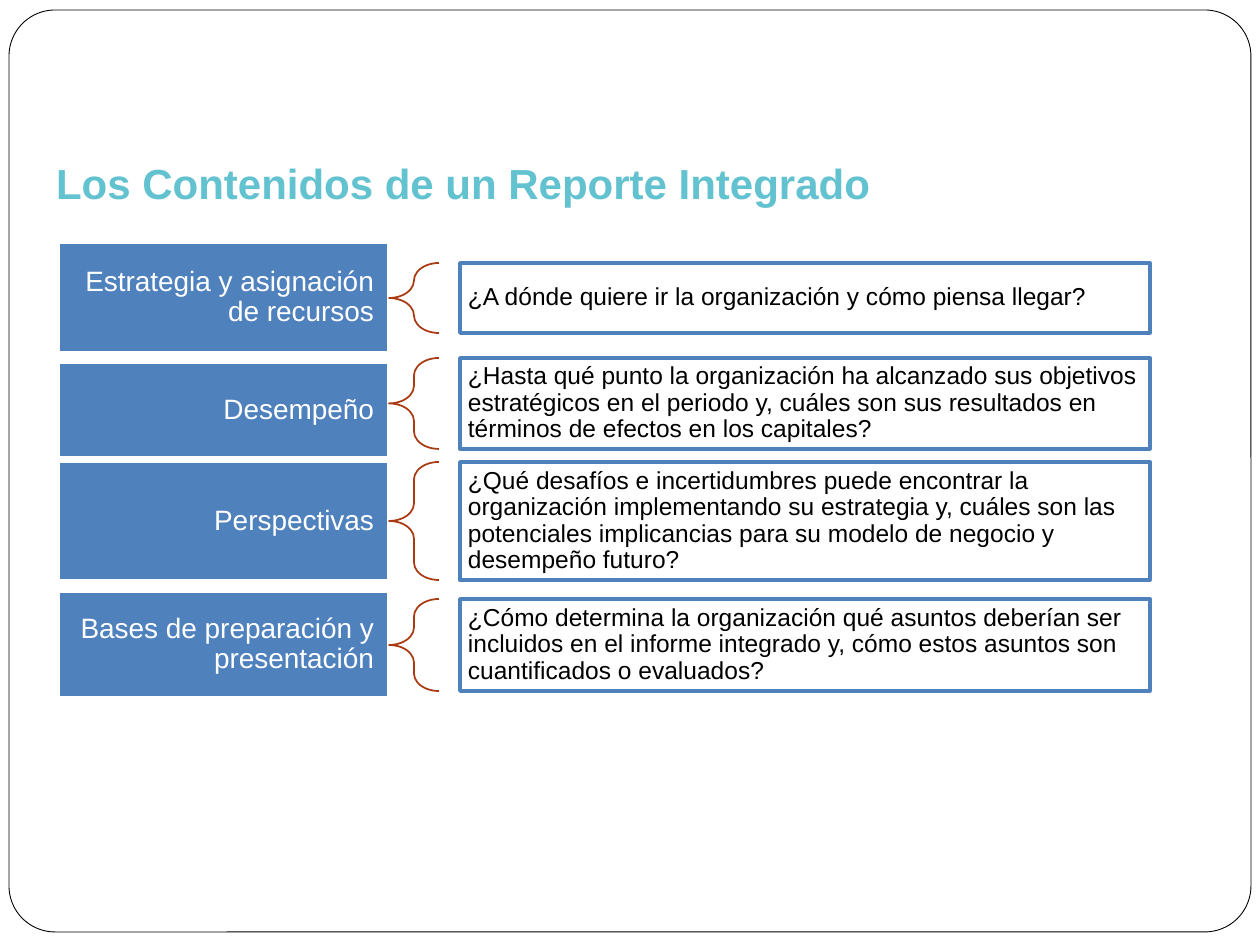
from dataclasses import dataclass

from lxml.etree import SubElement
from pptx import Presentation
from pptx.dml.color import RGBColor
from pptx.enum.shapes import MSO_SHAPE
from pptx.enum.text import MSO_ANCHOR, PP_ALIGN
from pptx.oxml.ns import qn
from pptx.util import Emu, Pt

COLORS = {
    "white": "FFFFFF",
    "black": "000000",
    "title": "63C2D0",
    "blue": "4F81BD",
    "brace": "A93A12",
}
FONT = "Arial"
LABEL_X, LABEL_W = 58, 331
BRACE_X, BRACE_W = 389, 50
QUESTION_X, QUESTION_W = 460, 690


@dataclass
class Content:
    label: str
    label_y: int
    label_h: int
    question: str
    question_y: int
    question_h: int


CONTENTS = [
    Content("Estrategia y asignación de recursos", 242, 111,
            "¿A dónde quiere ir la organización y cómo piensa llegar?", 263, 70),
    Content("Desempeño", 362, 96,
            "¿Hasta qué punto la organización ha alcanzado sus objetivos "
            "estratégicos en el periodo y, cuáles son sus resultados en "
            "términos de efectos en los capitales?", 358, 91),
    Content("Perspectivas", 461, 120,
            "¿Qué desafíos e incertidumbres puede encontrar la organización "
            "implementando su estrategia y, cuáles son las potenciales "
            "implicancias para su modelo de negocio y desempeño futuro?", 462, 118),
    Content("Bases de preparación y presentación", 591, 107,
            "¿Cómo determina la organización qué asuntos deberían ser incluidos "
            "en el informe integrado y, cómo estos asuntos son cuantificados o "
            "evaluados?", 599, 92),
]


def px(n: int) -> Emu:
    return Emu(round(n * 914400 / 126))


def rgb(name: str) -> RGBColor:
    return RGBColor.from_string(COLORS[name])


def add_shape(s, kind, box: tuple, fill: str | None, line: str, width: float):
    sp = s.shapes.add_shape(kind, *(px(n) for n in box))
    sp.shadow.inherit = False
    if fill:
        sp.fill.solid()
        sp.fill.fore_color.rgb = rgb(fill)
    else:
        sp.fill.background()
    sp.line.color.rgb = rgb(line)
    sp.line.width = Pt(width)
    return sp


def set_text(sp, text: str, size: int, color: str, anchor, align,
             margins: tuple, spacing: float = 1.0, bold: bool = False) -> None:
    tf = sp.text_frame
    tf.word_wrap = True
    tf.vertical_anchor = anchor
    tf.margin_left = tf.margin_right = px(margins[0])
    tf.margin_top = tf.margin_bottom = px(margins[1])
    p = tf.paragraphs[0]
    p.alignment = align
    p.line_spacing = spacing
    r = p.add_run()
    r.text = text
    r.font.name = FONT
    r.font.size = Pt(size)
    r.font.bold = bold
    r.font.color.rgb = rgb(color)


def add_content(s, c: Content) -> None:
    # Topic label
    sp = add_shape(s, MSO_SHAPE.RECTANGLE, (LABEL_X, c.label_y, LABEL_W, c.label_h),
                   "blue", "white", 2)
    set_text(sp, c.label, 16, "white", MSO_ANCHOR.MIDDLE, PP_ALIGN.RIGHT, (15, 5), 0.9)

    # Brace
    sp = add_shape(s, MSO_SHAPE.LEFT_BRACE, (BRACE_X, c.question_y, BRACE_W, c.question_h),
                   None, "brace", 1)
    sp.adjustments[0] = 0.35

    # Question, on a slightly transparent fill
    sp = add_shape(s, MSO_SHAPE.RECTANGLE,
                   (QUESTION_X, c.question_y, QUESTION_W, c.question_h),
                   "white", "blue", 2)
    color = sp.fill._xPr.find(qn("a:solidFill"))[0]
    SubElement(color, qn("a:alpha"), val="90000")
    set_text(sp, c.question, 14, "black", MSO_ANCHOR.MIDDLE, PP_ALIGN.LEFT, (8, 8), 0.9)


def main() -> None:
    prs = Presentation()
    prs.slide_width, prs.slide_height = px(1260), px(945)
    s = prs.slides.add_slide(prs.slide_layouts[5])

    # Rounded frame, behind the title
    frame = add_shape(s, MSO_SHAPE.ROUNDED_RECTANGLE, (9, 10, 1242, 922),
                      "white", "black", 0.5)
    frame.adjustments[0] = 0.05
    s.shapes._spTree.insert(2, frame._element)

    # Title
    title = s.shapes.title
    title.left, title.top, title.width, title.height = map(px, (43, 151, 955, 107))
    set_text(title, "Los Contenidos de un Reporte Integrado", 24, "title",
             MSO_ANCHOR.TOP, PP_ALIGN.LEFT, (13, 6), bold=True)

    # Rows of contents
    for content in CONTENTS:
        add_content(s, content)

    prs.save("out.pptx")


if __name__ == "__main__":
    main()
